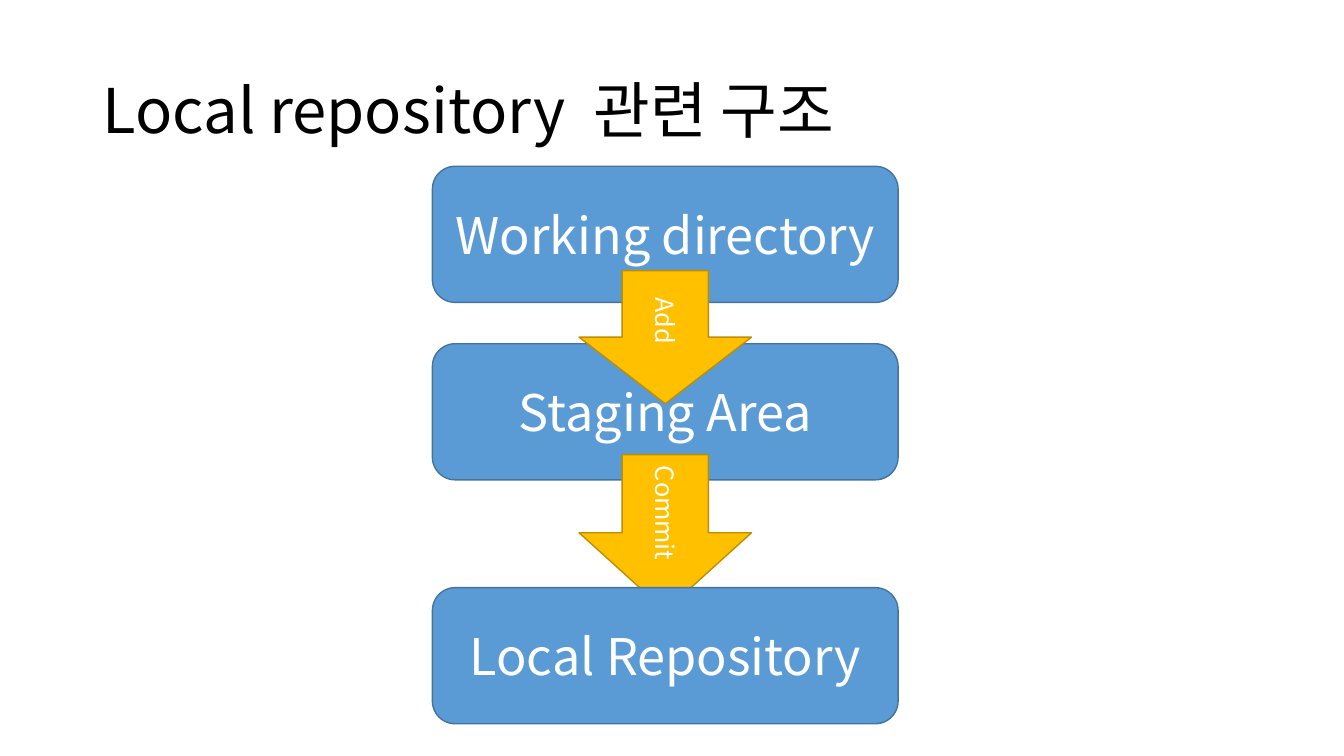
from lxml.etree import SubElement
from pptx import Presentation
from pptx.dml.color import RGBColor
from pptx.enum.shapes import MSO_SHAPE as SHAPE
from pptx.enum.text import MSO_ANCHOR as ANCHOR, PP_ALIGN as ALIGN
from pptx.oxml.ns import qn
from pptx.util import Inches, Pt


def rgb(value):
    return RGBColor.from_string(value)


class Deck:
    """Slide style; lengths are percentages of the slide's width and height."""
    FONT = "Noto Sans CJK KR"
    BLUE, BLUE_EDGE = "5B9BD5", "43739E"
    GOLD, GOLD_EDGE = "FFC000", "BD8E00"
    WHITE, BLACK = "FFFFFF", "000000"

    def __init__(self, prs):
        self.w, self.h = prs.slide_width, prs.slide_height
        self.s = prs.slides.add_slide(prs.slide_layouts[6])

    def x(self, share):
        return round(self.w * share / 100)

    def y(self, share):
        return round(self.h * share / 100)

    def add_text(self, sp, runs, size, color, align):
        tf = sp.text_frame
        tf.word_wrap = True
        tf.vertical_anchor = ANCHOR.MIDDLE
        p = tf.paragraphs[0]
        p.alignment = align
        for text in runs:
            r = p.add_run()
            r.text = text
            r.font.name = self.FONT
            r.font.size = Pt(size)
            r.font.color.rgb = rgb(color)
            # Korean letters take the East Asian typeface
            SubElement(r._r.get_or_add_rPr(), qn("a:ea"), typeface=self.FONT)
        return p

    def title(self, left, top, width, height, runs):
        sp = self.s.shapes.add_textbox(self.x(left), self.y(top), self.x(width), self.y(height))
        p = self.add_text(sp, runs, 44, self.BLACK, ALIGN.LEFT)
        p.line_spacing = 0.9

    def shape(self, kind, center_x, center_y, width, height, text, size, fill, edge):
        sp = self.s.shapes.add_shape(
            kind, center_x - width // 2, center_y - height // 2, width, height)
        sp.shadow.inherit = False
        sp.fill.solid()
        sp.fill.fore_color.rgb = rgb(fill)
        sp.line.color.rgb = rgb(edge)
        sp.line.width = Pt(1)
        self.add_text(sp, [text], size, self.WHITE, ALIGN.CENTER)
        return sp

    def stage(self, center_x, center_y, text):
        self.shape(SHAPE.ROUNDED_RECTANGLE, self.x(center_x), self.y(center_y),
                   self.x(34.65), self.y(18), text, 36, self.BLUE, self.BLUE_EDGE)

    def down_arrow(self, center_x, center_y, length, text):
        # A right arrow turned by 90 degrees, so its label turns with it
        sp = self.shape(SHAPE.RIGHT_ARROW, self.x(center_x), self.y(center_y),
                        self.y(length), self.x(12.83), text, 18, self.GOLD, self.GOLD_EDGE)
        sp.rotation = 90


def main():
    prs = Presentation()
    prs.slide_width, prs.slide_height = Inches(13.33), Inches(7.5)
    deck = Deck(prs)
    axis = 49.5

    # Title
    deck.title(6.9, 5.33, 86.27, 19.33, ["Local repository ", " 관련 구조"])

    # First two stages
    deck.stage(axis, 31, "Working directory")
    deck.stage(axis, 54.47, "Staging Area")

    # Steps between the stages
    deck.down_arrow(axis, 44.6, 17.6, "Add")
    deck.down_arrow(axis, 70.47, 20.67, "Commit")

    # Last stage, covering the tip of the second arrow
    deck.stage(axis, 86.73, "Local Repository")

    prs.save("out.pptx")


if __name__ == "__main__":
    main()
